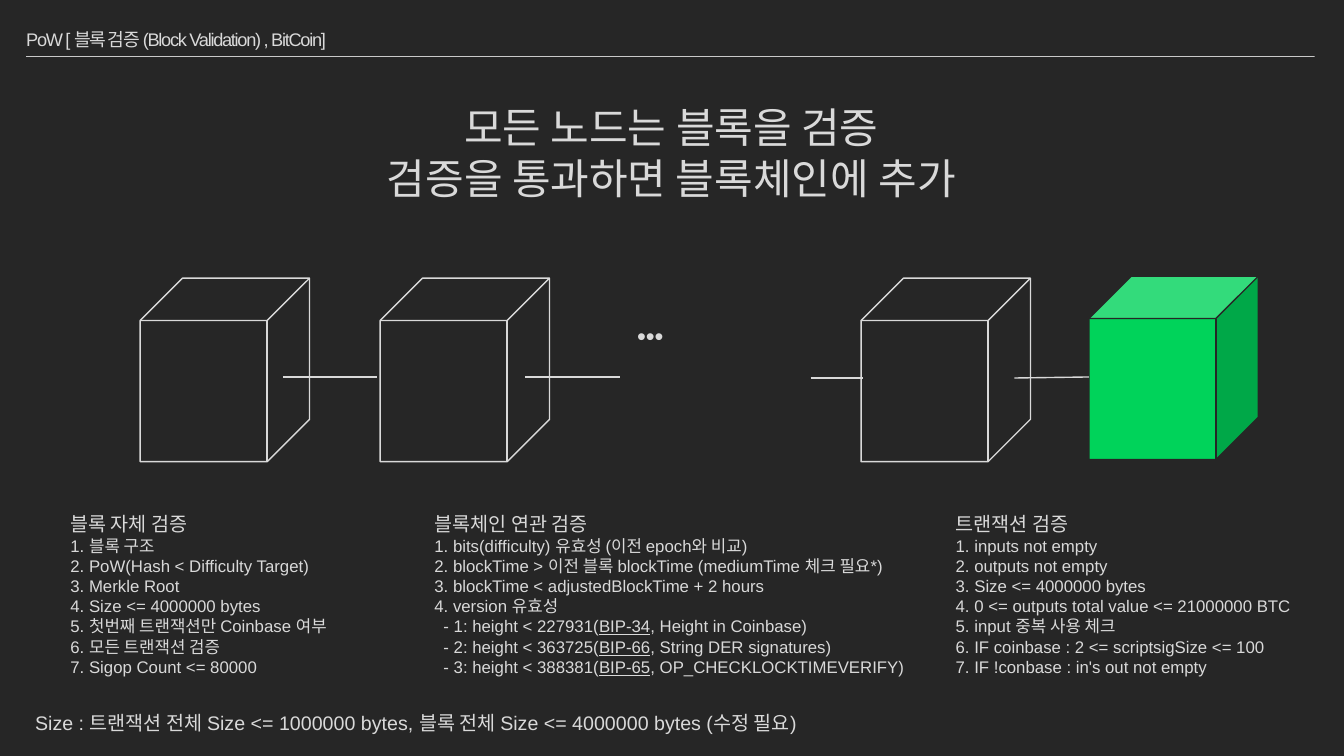
from lxml import etree
from pptx import Presentation
from pptx.dml.color import RGBColor
from pptx.enum import shapes, text
from pptx.oxml.ns import qn
from pptx.util import Inches, Pt

BACK, INK, GREEN, RULE = "262626", "D9D9D9", "00D35A", "F2F2F2"

HEAD = "PoW [ 블록 검증 (Block Validation) , BitCoin]"
TITLE = ["모든 노드는 블록을 검증", "검증을 통과하면 블록체인에 추가"]
NOTE = "Size : 트랜잭션 전체 Size <= 1000000 bytes, 블록 전체 Size <= 4000000 bytes (수정 필요)"

# left, width, wrap, heading, numbered items, version rules
LISTS = [
    (0.6, 3, False, "블록 자체 검증",
     ["블록 구조", "PoW(Hash < Difficulty Target)", "Merkle Root",
      "Size <= 4000000 bytes", "첫번째 트랜잭션만 Coinbase 여부",
      "모든 트랜잭션 검증", "Sigop Count <= 80000"], []),
    (4.21, 4.91, True, "블록체인 연관 검증",
     ["bits(difficulty) 유효성 (이전 epoch와 비교)",
      "blockTime > 이전 블록 blockTime (mediumTime 체크 필요*)",
      "blockTime < adjustedBlockTime + 2 hours", "version 유효성"],
     [("227931", "BIP-34", "Height in Coinbase"),
      ("363725", "BIP-66", "String DER signatures"),
      ("388381", "BIP-65", "OP_CHECKLOCKTIMEVERIFY")]),
    (9.38, 3.81, True, "트랜잭션 검증",
     ["inputs not empty", "outputs not empty", "Size <= 4000000 bytes",
      "0 <= outputs total value <= 21000000 BTC", "input 중복 사용 체크",
      "IF coinbase : 2 <= scriptsigSize <= 100",
      "IF !conbase : in's out not empty"], []),
]

# left, top, fill, line
CUBES = [(left, 2.76, None, INK) for left in (1.39, 3.77, 8.54)]
CUBES.append((10.8, 2.74, GREEN, BACK))
LINKS = [(2.81, 3.74, 3.74, 3.74), (5.21, 3.74, 6.15, 3.74),
         (8.04, 3.75, 8.56, 3.75), (10.06, 3.75, 10.8, 3.74)]

deck = Presentation()
deck.slide_width, deck.slide_height = Inches(13.33), Inches(7.5)
slide = deck.slides.add_slide(deck.slide_layouts[6])


def paint(color, value):
    color.rgb = RGBColor.from_string(value)


def add_run(para, words, size, under=None):
    run = para.add_run()
    run.text = words
    run.font.name, run.font.size = "Arial", Pt(size)
    run.font.underline = under
    paint(run.font.color, INK)
    return run


def add_box(left, top, width, height, lines, wrap=True, align=None):
    """Add a text box; each line is (left indent, [(words, size, underline)])."""
    box = slide.shapes.add_textbox(*map(Inches, (left, top, width, height)))
    frame = box.text_frame
    frame.word_wrap = wrap
    for i, (indent, runs) in enumerate(lines):
        para = frame.add_paragraph() if i else frame.paragraphs[0]
        para.alignment = align
        if indent:
            para._p.get_or_add_pPr().set("marL", str(Inches(indent)))
        for run in runs:
            add_run(para, *run)
    return frame


def add_line(ends, color, width):
    line = slide.shapes.add_connector(
        shapes.MSO_CONNECTOR.STRAIGHT, *map(Inches, ends))
    paint(line.line.color, color)
    line.line.width = Pt(width)
    etree.SubElement(line._element.spPr, qn("a:effectLst"))
    return line


def add_cube(left, top, fill, edge):
    cube = slide.shapes.add_shape(
        shapes.MSO_SHAPE.CUBE, *map(Inches, (left, top, 1.68, 1.82)))
    cube.shadow.inherit = False
    if fill:
        cube.fill.solid()
        paint(cube.fill.fore_color, fill)
    else:
        cube.fill.background()
    paint(cube.line.color, edge)
    cube.line.width = Pt(1)


slide.background.fill.solid()
paint(slide.background.fill.fore_color, BACK)

rule = add_line((0.26, 0.56, 13.04, 0.56), RULE, 0.5)
tint = next(rule._element.spPr.iter(qn("a:srgbClr")))
etree.SubElement(tint, qn("a:alpha")).set("val", "80000")

head = add_box(0.26, 0.21, 12.81, 0.35, [(0, [(HEAD, 13)])])
head.margin_left = head.margin_right = 0
head.vertical_anchor = text.MSO_ANCHOR.MIDDLE
head.paragraphs[0].line_spacing = 1.05
head.paragraphs[0].runs[0]._r.get_or_add_rPr().set("spc", "-90")

add_box(3.44, 0.96, 6.44, 1.11, [(0, [(line, 30)]) for line in TITLE],
        False, text.PP_ALIGN.CENTER)

for cube in CUBES:
    add_cube(*cube)
for link in LINKS:
    add_line(link, INK, 1)
add_box(6.22, 3.13, 1.53, 1.33, [(0, [("•••", 18)])])

for left, width, wrap, name, items, rules in LISTS:
    lines = [(0, [(name, 14)])]
    lines += [(0, [(f"{n}. {item}", 12)]) for n, item in enumerate(items, 1)]
    lines += [(0.09, [(f"- {n}: height < {height}(", 12), (bip, 12, True),
                      (f", {what})", 12)])
              for n, (height, bip, what) in enumerate(rules, 1)]
    add_box(left, 5.03, width, 1.75, lines, wrap)

add_box(0.25, 7, 9.84, 0.34, [(0, [(NOTE, 14)])])

deck.save("out.pptx")
